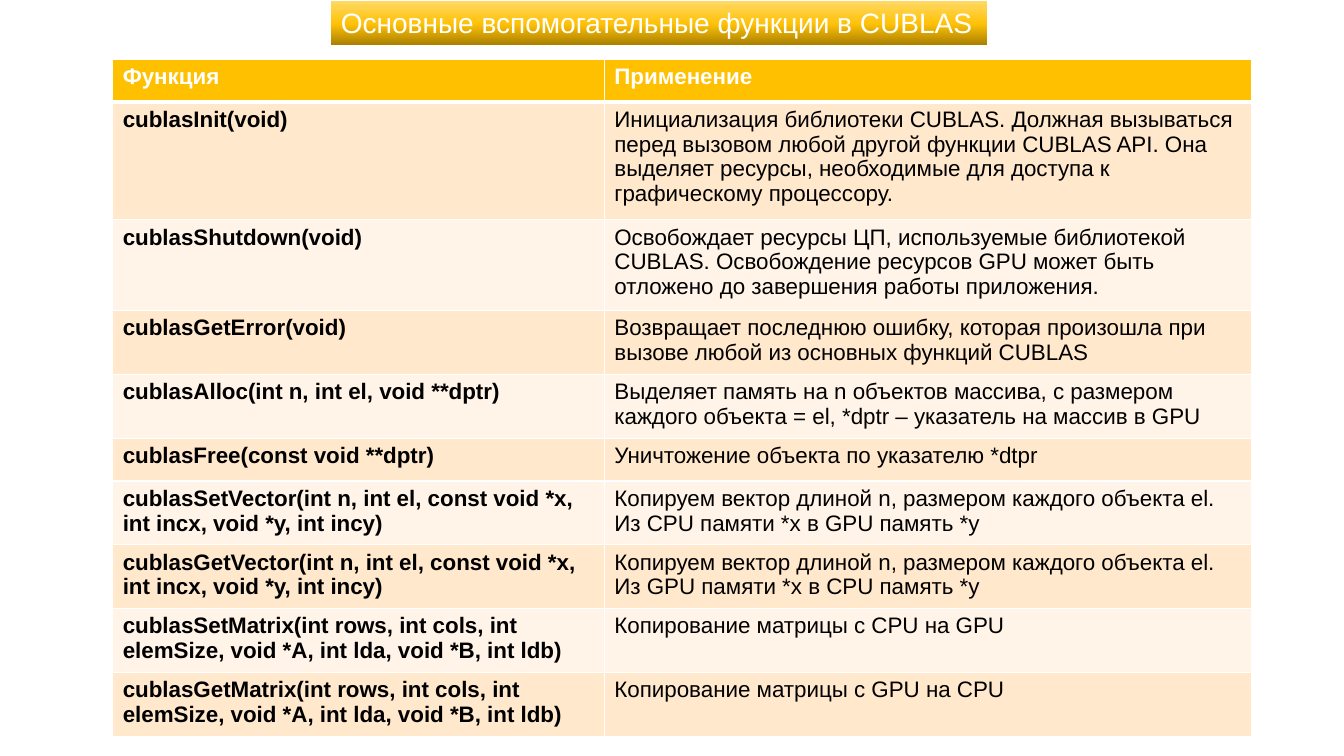
from pptx import Presentation
from pptx.dml.color import RGBColor
from pptx.enum.shapes import MSO_SHAPE
from pptx.enum.text import MSO_ANCHOR, MSO_AUTO_SIZE, PP_ALIGN
from pptx.oxml.ns import qn
from pptx.util import Cm, Pt
from lxml.etree import SubElement

TITLE = "Основные вспомогательные функции в CUBLAS"
HEADINGS = ("Функция", ["Применение"], 1)
# Function, paragraphs of its use, lines of text in the row
FUNCTIONS = [
    ("cublasInit(void)",
     ["Инициализация библиотеки CUBLAS. Должная вызываться перед вызовом любой "
      "другой функции CUBLAS API. Она выделяет ресурсы, необходимые для доступа "
      "к графическому процессору."], 4),
    ("cublasShutdown(void)",
     ["Освобождает ресурсы ЦП, используемые библиотекой CUBLAS. Освобождение "
      "ресурсов GPU может быть отложено до завершения работы приложения."], 3),
    ("cublasGetError(void)",
     ["Возвращает последнюю ошибку, которая произошла при вызове любой из "
      "основных функций CUBLAS"], 2),
    ("cublasAlloc(int n, int el, void **dptr)",
     ["Выделяет память на n объектов массива, с размером каждого объекта = el, "
      "*dptr – указатель на массив в GPU"], 2),
    ("cublasFree(const void **dptr)",
     ["Уничтожение объекта по указателю *dtpr"], 1),
    ("cublasSetVector(int n, int el, const void *x, int incx, void *y, int incy)",
     ["Копируем вектор длиной n, размером каждого объекта el. "
      "Из CPU памяти *x в GPU память *y"], 2),
    ("cublasGetVector(int n, int el, const void *x, int incx, void *y, int incy)",
     ["Копируем вектор длиной n, размером каждого объекта el.",
      "Из GPU памяти *x в CPU память *y"], 2),
    ("cublasSetMatrix(int rows, int cols, int elemSize, void *A, int lda, void *B, int ldb)",
     ["Копирование матрицы с CPU на GPU"], 2),
    ("cublasGetMatrix(int rows, int cols, int elemSize, void *A, int lda, void *B, int ldb)",
     ["Копирование матрицы с GPU на CPU"], 2),
]

FONT = "Arial"
WHITE = RGBColor(0xFF, 0xFF, 0xFF)
BLACK = RGBColor(0, 0, 0)
GOLD = RGBColor(0xFF, 0xC0, 0x00)
BANDS = (RGBColor(0xFF, 0xF4, 0xE7), RGBColor(0xFF, 0xE8, 0xCC))
TITLE_GRADIENT = [(0, RGBColor(0xAB, 0x81, 0x00)),
                  (48, RGBColor(0xFF, 0xC2, 0x08)),
                  (100, RGBColor(0xFF, 0xD9, 0x66))]

COLUMN_WIDTHS = (Cm(12.39), Cm(16.31))
SINGLE_LINE_ROW = Cm(1.07)
LINE_HEIGHT, ROW_PADDING = Cm(0.68), Cm(0.25)


def row_height(lines):
    return SINGLE_LINE_ROW if lines == 1 else lines * LINE_HEIGHT + ROW_PADDING


def add_text(paragraph, text, size, color, bold=False):
    run = paragraph.add_run()
    run.text = text
    run.font.name = FONT
    run.font.size = Pt(size)
    run.font.bold = bold
    run.font.color.rgb = color


def set_gradient(shape, stops):
    """Fill the shape with stops running from bottom to top."""
    shape.fill.gradient()
    shape.fill.gradient_angle = 90
    stop_list = shape.element.spPr.find(qn("a:gradFill")).find(qn("a:gsLst"))
    for old_stop in list(stop_list):
        stop_list.remove(old_stop)
    for percent, color in stops:
        stop = SubElement(stop_list, qn("a:gs"), pos=str(percent * 1000))
        SubElement(stop, qn("a:srgbClr"), val=str(color))


def set_borders(cell, top, bottom):
    """Draw white cell borders; top and bottom are widths in points."""
    properties = cell._tc.get_or_add_tcPr()
    for side, width in (("L", 1), ("R", 1), ("T", top), ("B", bottom)):
        line = SubElement(properties, qn(f"a:ln{side}"), w=str(Pt(width)))
        fill = SubElement(line, qn("a:solidFill"))
        SubElement(fill, qn("a:srgbClr"), val=str(WHITE))


def add_title(slide):
    banner = slide.shapes.add_shape(MSO_SHAPE.RECTANGLE, Cm(8.34), Cm(0.02),
                                    Cm(16.53), Cm(1.11))
    banner.shadow.inherit = False
    banner.line.fill.background()
    set_gradient(banner, TITLE_GRADIENT)
    frame = banner.text_frame
    frame.word_wrap = False
    frame.auto_size = MSO_AUTO_SIZE.SHAPE_TO_FIT_TEXT
    frame.vertical_anchor = MSO_ANCHOR.TOP
    frame.paragraphs[0].alignment = PP_ALIGN.LEFT
    add_text(frame.paragraphs[0], TITLE, 20, WHITE)


def add_functions(slide):
    rows = [HEADINGS] + FUNCTIONS
    heights = [row_height(lines) for _, _, lines in rows]
    table = slide.shapes.add_table(len(rows), len(COLUMN_WIDTHS), Cm(2.84), Cm(1.5),
                                   sum(COLUMN_WIDTHS), sum(heights)).table
    for column, width in zip(table.columns, COLUMN_WIDTHS):
        column.width = width
    for r, (function, use, _) in enumerate(rows):
        table.rows[r].height = heights[r]
        is_header = r == 0
        for c, paragraphs in enumerate(([function], use)):
            cell = table.cell(r, c)
            set_borders(cell, top=3 if r == 1 else 1, bottom=3 if is_header else 1)
            cell.fill.solid()
            cell.fill.fore_color.rgb = GOLD if is_header else BANDS[r % 2]
            frame = cell.text_frame
            for p, text in enumerate(paragraphs):
                paragraph = frame.add_paragraph() if p else frame.paragraphs[0]
                add_text(paragraph, text, 16, WHITE if is_header else BLACK,
                         bold=is_header or c == 0)


def main():
    presentation = Presentation()
    presentation.slide_width, presentation.slide_height = Cm(33.87), Cm(19.05)
    slide = presentation.slides.add_slide(presentation.slide_layouts[6])
    add_title(slide)
    add_functions(slide)
    presentation.save("out.pptx")


if __name__ == "__main__":
    main()
